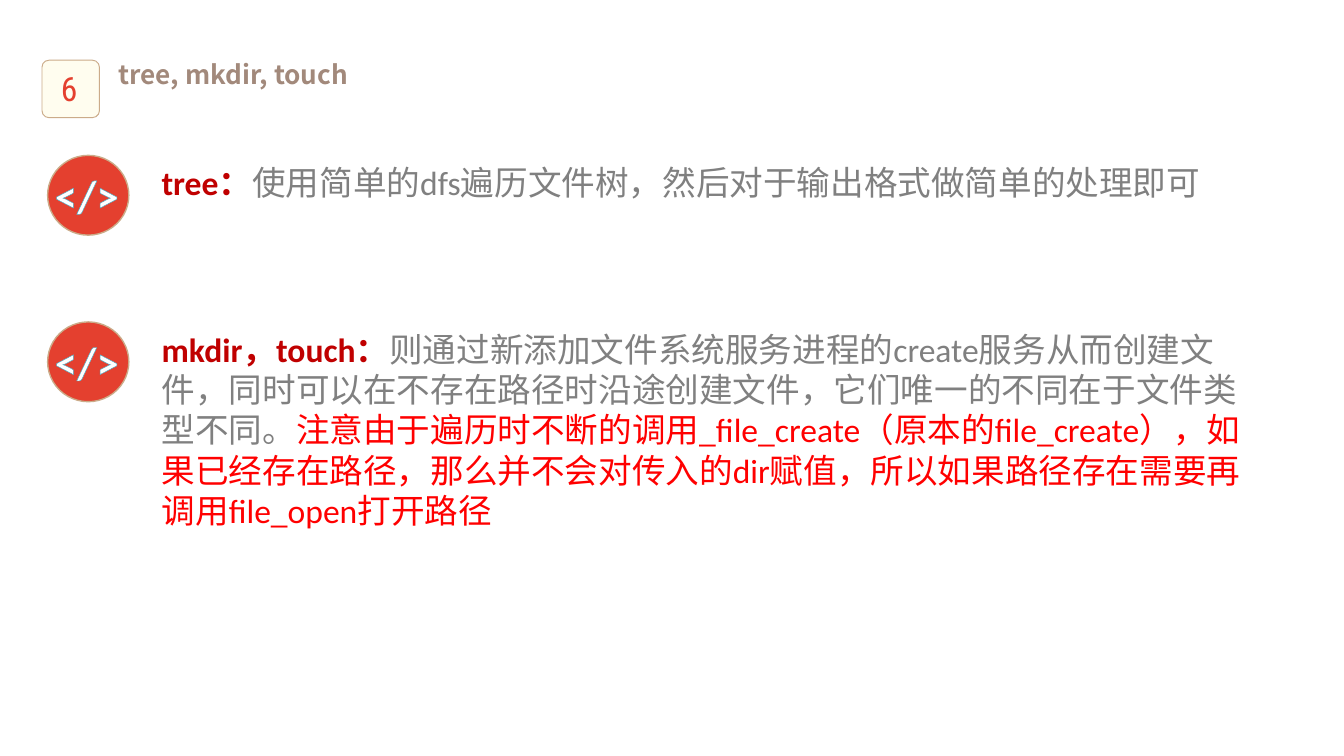
"""Build the slide on the tree, mkdir and touch commands."""
from lxml import etree
from pptx import Presentation
from pptx import util as u
from pptx.dml.color import RGBColor
from pptx.enum import lang, shapes, text
from pptx.oxml import ns

PX = 9525
RED, TAN, DARK, GRAY = "E4402F", "CBAB89", "C00000", "808080"


def rgb(code):
    return RGBColor.from_string(code)


def write(s, box, runs, size, font="Calibri", align=text.PP_ALIGN.LEFT):
    s.left, s.top, s.width, s.height = [v * PX for v in box]
    tf = s.text_frame
    tf.word_wrap = True
    p = tf.paragraphs[0]
    p.alignment = align
    for words, color, bold in runs:
        r = p.add_run()
        r.text = words
        r.font.size = u.Pt(size)
        r.font.bold = bold
        r.font.color.rgb = rgb(color)
        r.font.name = font
        r.font.language_id = lang.MSO_LANGUAGE_ID.SIMPLIFIED_CHINESE
        ea = etree.SubElement(r.font._element, ns.qn("a:ea"))
        ea.set("typeface", "Noto Sans CJK SC")
    return tf


prs = Presentation()
prs.slide_width, prs.slide_height = 960 * PX, 540 * PX
slide = prs.slides.add_slide(prs.slide_layouts[5])
sh = slide.shapes

tf = write(sh.title, (75, 37, 224, 51), [("tree, mkdir, touch", "A2897B", True)],
           14, "Noto Sans CJK SC")
tf.vertical_anchor = text.MSO_ANCHOR.TOP
tf.auto_size = text.MSO_AUTO_SIZE.NONE
tf.paragraphs[0].space_before = u.Pt(3)

badge = (shapes.MSO_SHAPE.ROUNDED_RECTANGLE, (30, 43, 41, 41), "FFFDEF", 0.5)
tops = (111, 230)
discs = [(shapes.MSO_SHAPE.OVAL, (34, top, 58, 57), RED, 0.75) for top in tops]
for kind, box, fill, width in [badge] + discs:
    s = sh.add_shape(kind, *[v * PX for v in box])
    s.shadow.inherit = False
    s.fill.solid()
    s.fill.fore_color.rgb = rgb(fill)
    s.line.color.rgb = rgb(TAN)
    s.line.width = u.Pt(width)
    if kind == shapes.MSO_SHAPE.ROUNDED_RECTANGLE:
        s.adjustments[0] = 0.12

tf = write(sh.add_textbox(0, 0, 0, 0), (25, 44, 49, 38), [("6", RED, False)],
           18, "Roboto Condensed", text.PP_ALIGN.CENTER)
tf.vertical_anchor = text.MSO_ANCHOR.MIDDLE

notes = [
    (821, 38, [
        ("tree：", DARK, True),
        ("使用简单的dfs遍历文件树，然后对于输出格式做简单的处理即可", GRAY, False),
    ]),
    (791, 156, [
        ("mkdir，touch：", DARK, True),
        ("则通过新添加文件系统服务进程的create服务从而创建文件，"
         "同时可以在不存在路径时沿途创建文件，它们唯一的不同在于文件类型不同。", GRAY, False),
        ("注意由于遍历时不断的调用_file_create（原本的file_create），"
         "如果已经存在路径，那么并不会对传入的dir赋值，"
         "所以如果路径存在需要再调用file_open打开路径", "FF0000", False),
    ]),
]
for top, (width, height, runs) in zip(tops, notes):
    write(sh.add_textbox(0, 0, 0, 0), (106, top, width, height), runs, 18)
    tf = write(sh.add_textbox(0, 0, 0, 0), (1, top + 4, 122, 48),
               [("</>", "FFFFFF", True)], 24, align=text.PP_ALIGN.CENTER)
    ln = etree.Element(ns.qn("a:ln"), w=str(u.Pt(0.8)))
    fill = etree.SubElement(ln, ns.qn("a:solidFill"))
    etree.SubElement(fill, ns.qn("a:srgbClr"), val="4BACC6")
    tf.paragraphs[0].runs[0].font._element.insert(0, ln)

prs.save("out.pptx")
